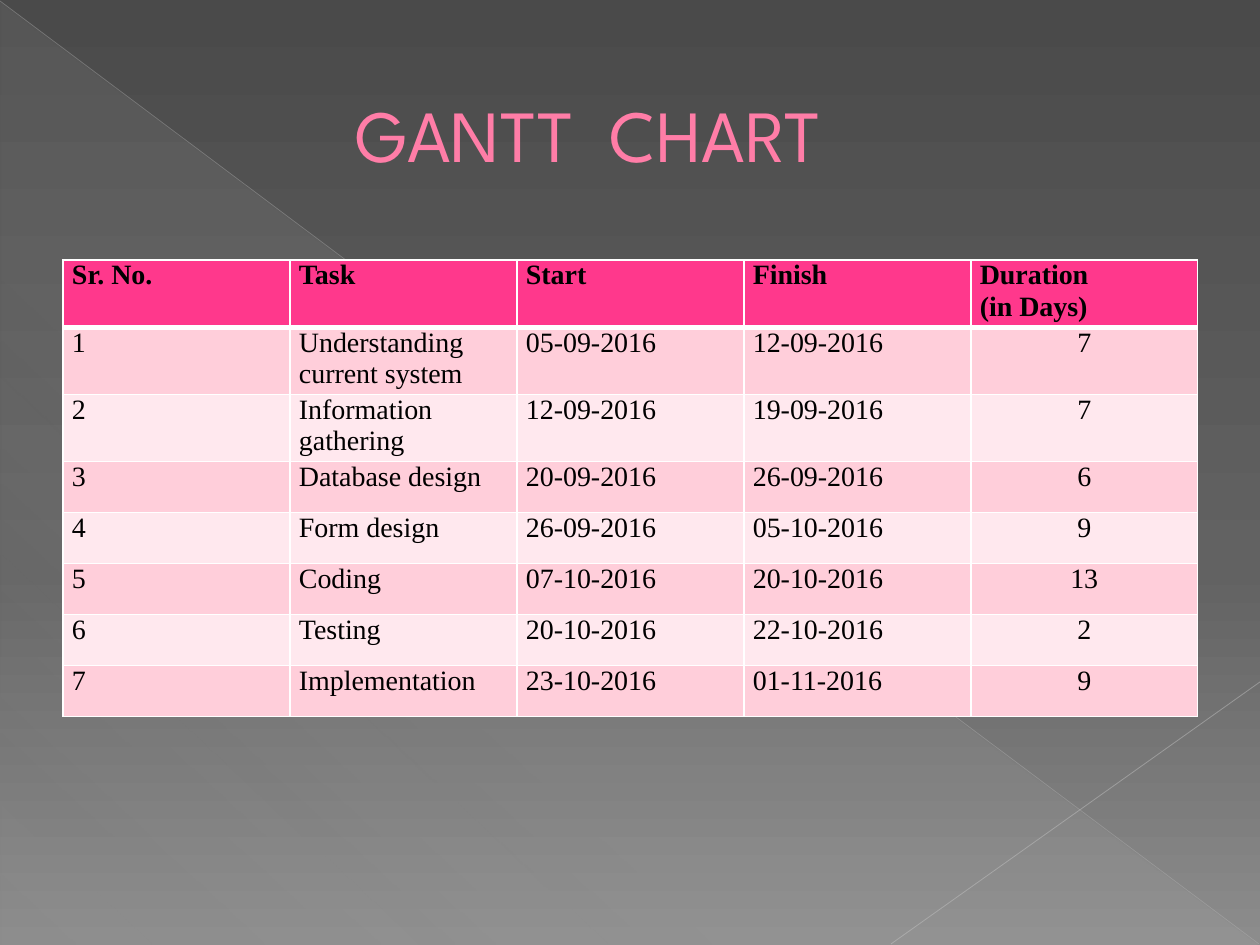
from lxml import etree
from pptx import Presentation
from pptx.dml.color import RGBColor
from pptx.enum.shapes import MSO_CONNECTOR, MSO_SHAPE
from pptx.enum.text import MSO_ANCHOR, PP_ALIGN
from pptx.oxml.ns import qn
from pptx.util import Emu, Pt

STRAIGHT = MSO_CONNECTOR.STRAIGHT
TRIANGLE = MSO_SHAPE.RIGHT_TRIANGLE
MIDDLE = MSO_ANCHOR.MIDDLE
LEFT, CENTER = PP_ALIGN.LEFT, PP_ALIGN.CENTER

TITLE = "GANTT  CHART"
HEADER = ["Sr. No.", "Task", "Start", "Finish", "Duration\n(in Days)"]
TASKS = [
    ("Understanding current system", "05-09-2016", "12-09-2016", 7),
    ("Information gathering", "12-09-2016", "19-09-2016", 7),
    ("Database design", "20-09-2016", "26-09-2016", 6),
    ("Form design", "26-09-2016", "05-10-2016", 9),
    ("Coding", "07-10-2016", "20-10-2016", 13),
    ("Testing", "20-10-2016", "22-10-2016", 2),
    ("Implementation", "23-10-2016", "01-11-2016", 9),
]
BACKGROUND = [(0, "4A4A4A", 100), (60, "626262", 100), (100, "8C8C8C", 100)]
SHEEN = [(0, "D2D2D2", 10), (70, "D2D2D2", 8), (100, "D2D2D2", 1)]
LINES = [
    ((0, 1, 1259, 944), "BFBFBF", 0.39, 35),
    ((1260, 682, 891, 944), "C6C6C6", 0.47, 45),
]
HEADER_FILL = "FF388C"
BAND_FILLS = ["FFCEDA", "FFE8EE"]
TALL_ROWS, TALL, SHORT = 3, 62, 51
TABLE_LEFT, TABLE_TOP, COLUMN_WIDTH = 63, 260, 227
SCALE = 914400 // 126


def px(value):
    return Emu(value * SCALE)


def rgb(value):
    return RGBColor.from_string(value)


def add_color(parent, value, opacity=100):
    color = etree.SubElement(parent, qn("a:srgbClr"), val=value)
    if opacity < 100:
        etree.SubElement(color, qn("a:alpha"), val=str(opacity * 1000))


def set_gradient(properties, stops, angle):
    solid = properties.find(qn("a:solidFill"))
    gradient = etree.Element(qn("a:gradFill"), rotWithShape="1")
    stop_list = etree.SubElement(gradient, qn("a:gsLst"))
    for position, value, opacity in stops:
        stop = etree.SubElement(stop_list, qn("a:gs"), pos=str(position * 1000))
        add_color(stop, value, opacity)
    etree.SubElement(gradient, qn("a:lin"), ang=str(angle * 60000), scaled="0")
    properties.replace(solid, gradient)


def add_line(slide, ends, color, width, opacity):
    line = slide.shapes.add_connector(STRAIGHT, *map(px, ends))
    line.line.width = Pt(width)
    line.line.color.rgb = rgb(color)
    properties = line.element.spPr
    solid = properties.find(".//" + qn("a:solidFill"))
    solid.clear()
    add_color(solid, color, opacity)
    etree.SubElement(properties, qn("a:effectLst"))


def write(paragraph, text, font, size, color, bold=False):
    run = paragraph.add_run()
    run.text = text
    run.font.name = font
    run.font.size = Pt(size)
    run.font.bold = bold
    run.font.color.rgb = rgb(color)


def set_borders(cell, bottom_width):
    properties = cell._tc.get_or_add_tcPr()
    widths = [("a:lnL", 1), ("a:lnR", 1), ("a:lnT", 1), ("a:lnB", bottom_width)]
    for index, (tag, width) in enumerate(widths):
        border = etree.Element(qn(tag), w=str(Pt(width)))
        add_color(etree.SubElement(border, qn("a:solidFill")), "FFFFFF")
        properties.insert(index, border)


def fill_cell(cell, text, color, is_header, alignment):
    cell.fill.solid()
    cell.fill.fore_color.rgb = rgb(color)
    cell.margin_left = cell.margin_right = px(9)
    cell.margin_top = cell.margin_bottom = 0
    for index, line in enumerate(text.split("\n")):
        frame = cell.text_frame
        paragraph = frame.add_paragraph() if index else frame.paragraphs[0]
        paragraph.alignment = alignment
        write(paragraph, line, "Times New Roman", 16, "000000", is_header)
    set_borders(cell, 3 if is_header else 1)


presentation = Presentation()
presentation.slide_width, presentation.slide_height = px(1260), px(945)
slide = presentation.slides.add_slide(presentation.slide_layouts[6])
slide.background.fill.solid()
set_gradient(slide.element.find(".//" + qn("p:bgPr")), BACKGROUND, 90)

triangle = slide.shapes.add_shape(TRIANGLE, px(1), px(2), px(1258), px(943))
triangle.shadow.inherit = False
triangle.line.fill.background()
triangle.fill.solid()
set_gradient(triangle.element.spPr, SHEEN, 133)
for line_spec in LINES:
    add_line(slide, *line_spec)

title = slide.shapes.add_textbox(px(63), px(37), px(1134), px(193))
title.text_frame.word_wrap = True
title.text_frame.vertical_anchor = MIDDLE
title.text_frame.margin_left = px(293)
write(title.text_frame.paragraphs[0], TITLE, "League Spartan", 42, "FF7DA7")

rows = [HEADER] + [(number, *task) for number, task in enumerate(TASKS, 1)]
heights = [TALL if index < TALL_ROWS else SHORT for index in range(len(rows))]
table = slide.shapes.add_table(
    len(rows), len(HEADER), px(TABLE_LEFT), px(TABLE_TOP),
    px(COLUMN_WIDTH * len(HEADER)), px(sum(heights)),
).table
for column in table.columns:
    column.width = px(COLUMN_WIDTH)
for row_index, values in enumerate(rows):
    table.rows[row_index].height = px(heights[row_index])
    is_header = row_index == 0
    color = HEADER_FILL if is_header else BAND_FILLS[(row_index - 1) % 2]
    for column_index, value in enumerate(values):
        is_duration = column_index == len(HEADER) - 1 and not is_header
        alignment = CENTER if is_duration else LEFT
        fill_cell(table.cell(row_index, column_index), str(value), color,
                  is_header, alignment)

presentation.save("out.pptx")
